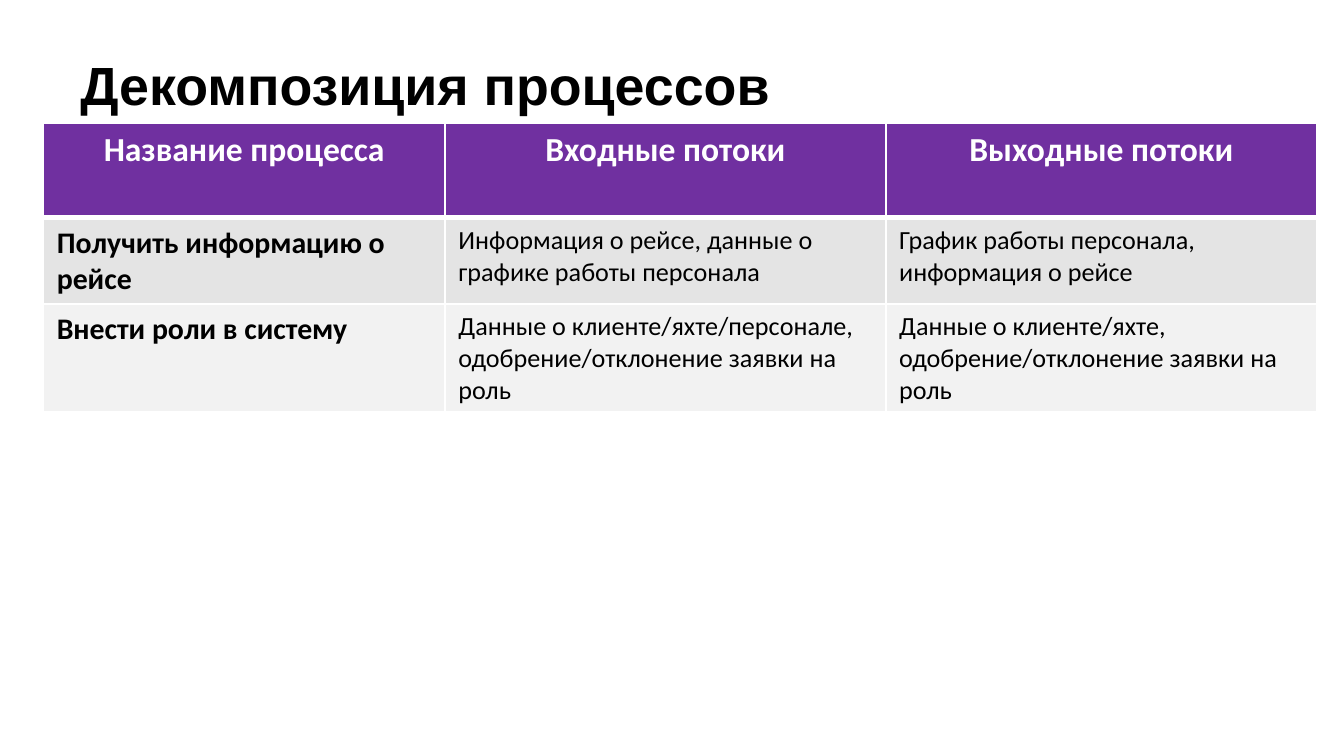
from lxml import etree
from pptx import Presentation
from pptx.dml.color import RGBColor
from pptx.enum.text import MSO_ANCHOR, PP_ALIGN
from pptx.oxml.ns import qn
from pptx.util import Cm, Pt

MIDDLE = MSO_ANCHOR.MIDDLE
LEFT, CENTER = PP_ALIGN.LEFT, PP_ALIGN.CENTER

BLACK = RGBColor(0x00, 0x00, 0x00)
WHITE = RGBColor(0xFF, 0xFF, 0xFF)
PURPLE = RGBColor(0x70, 0x30, 0xA0)
GREY = RGBColor(0xE4, 0xE4, 0xE4)
PALE_GREY = RGBColor(0xF2, 0xF2, 0xF2)

HEADING = {"name": "Arial", "size": Pt(28.8), "bold": True}
COLUMN_NAME = {"name": "Calibri", "size": Pt(18), "bold": True}
PROCESS_NAME = {"name": "Calibri", "size": Pt(16), "bold": True}
FLOW = {"name": "Calibri", "size": Pt(14), "bold": False}

COLUMN_WIDTHS = (7.59, 8.33, 8.15)
ROW_HEIGHTS = (1.8, 1.63, 2.01)
ROW_FILLS = (PURPLE, GREY, PALE_GREY)
PROCESSES = (
    ("Название процесса", "Входные потоки", "Выходные потоки"),
    (
        "Получить информацию о рейсе",
        "Информация о рейсе, данные о графике работы персонала",
        "График работы персонала, информация о рейсе",
    ),
    (
        "Внести роли в систему",
        "Данные о клиенте/яхте/персонале, одобрение/отклонение заявки на роль",
        "Данные о клиенте/яхте, одобрение/отклонение заявки на роль",
    ),
)


class ProcessSlide:
    """Holds the style and the current slide, and adds its elements."""

    def __init__(self, slide):
        self.slide = slide

    def text(self, frame, wording, style, color, align=LEFT):
        paragraph = frame.paragraphs[0]
        paragraph.alignment = align
        run = paragraph.add_run()
        run.text = wording
        for attribute, value in style.items():
            setattr(run.font, attribute, value)
        run.font.color.rgb = color

    def title(self, wording, left, top, width, height):
        box = self.slide.shapes.add_textbox(Cm(left), Cm(top), Cm(width), Cm(height))
        frame = box.text_frame
        frame.word_wrap = True
        frame.vertical_anchor = MIDDLE
        self.text(frame, wording, HEADING, BLACK)

    def borders(self, cell, widths):
        properties = cell._tc.get_or_add_tcPr()
        for side, width in widths.items():
            line = etree.SubElement(properties, qn(f"a:ln{side}"), w=str(Pt(width)))
            fill = etree.SubElement(line, qn("a:solidFill"))
            etree.SubElement(fill, qn("a:srgbClr"), val=str(WHITE))

    def table(self, rows, left, top):
        frame = self.slide.shapes.add_table(
            len(rows), len(COLUMN_WIDTHS), Cm(left), Cm(top),
            Cm(sum(COLUMN_WIDTHS)), Cm(sum(ROW_HEIGHTS)),
        )
        table = frame.table
        for column, width in zip(table.columns, COLUMN_WIDTHS):
            column.width = Cm(width)
        for row, height in zip(table.rows, ROW_HEIGHTS):
            row.height = Cm(height)
        for r, wordings in enumerate(rows):
            for c, wording in enumerate(wordings):
                cell = table.cell(r, c)
                self.borders(cell, {
                    "L": 1, "R": 1,
                    "T": 3 if r == 1 else 1,
                    "B": 3 if r == 0 else 1,
                })
                cell.fill.solid()
                cell.fill.fore_color.rgb = ROW_FILLS[r]
                if r == 0:
                    self.text(cell.text_frame, wording, COLUMN_NAME, WHITE, CENTER)
                else:
                    style = FLOW if c else PROCESS_NAME
                    self.text(cell.text_frame, wording, style, BLACK)


def main():
    presentation = Presentation()
    presentation.slide_width = Cm(25.4)
    presentation.slide_height = Cm(14.29)
    blank = presentation.slide_layouts[6]
    decomposition = ProcessSlide(presentation.slides.add_slide(blank))
    decomposition.title("Декомпозиция процессов", 1.27, 0.86, 18.95, 1.47)
    decomposition.table(PROCESSES, 0.82, 2.32)
    presentation.save("out.pptx")


if __name__ == "__main__":
    main()
